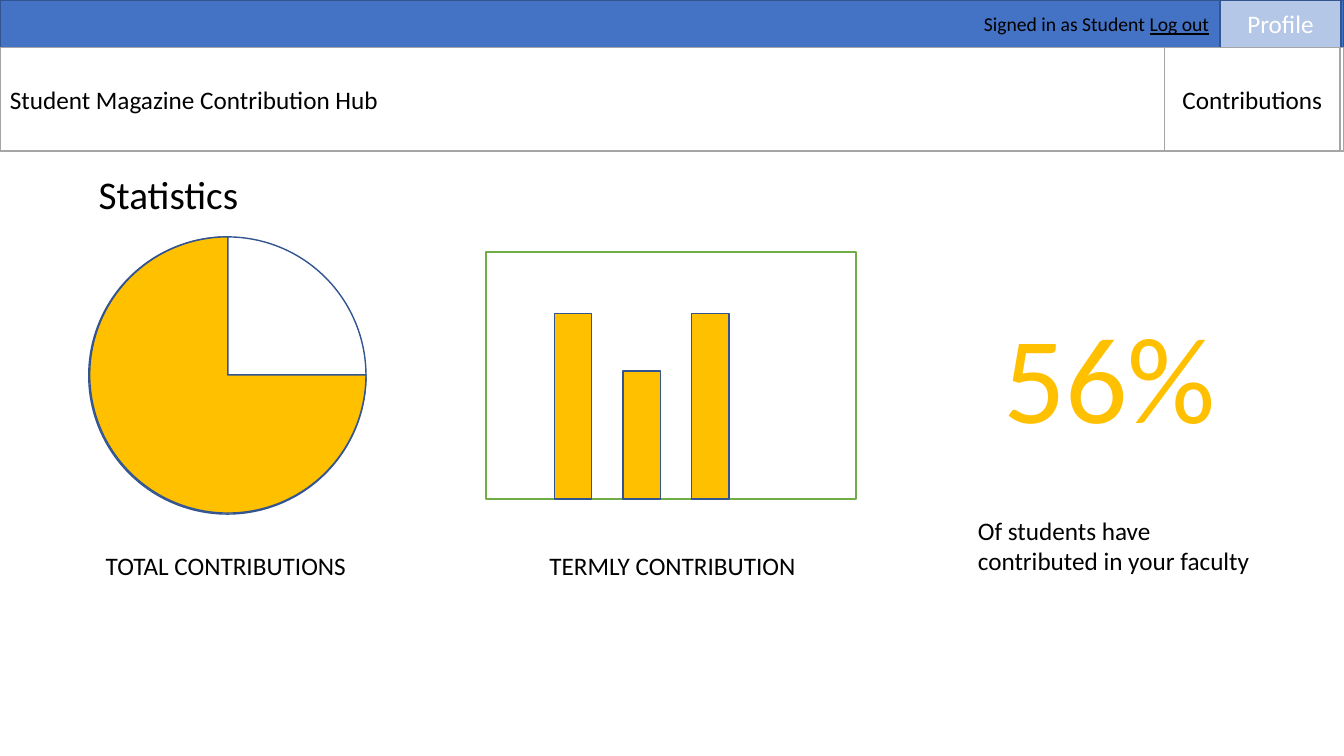
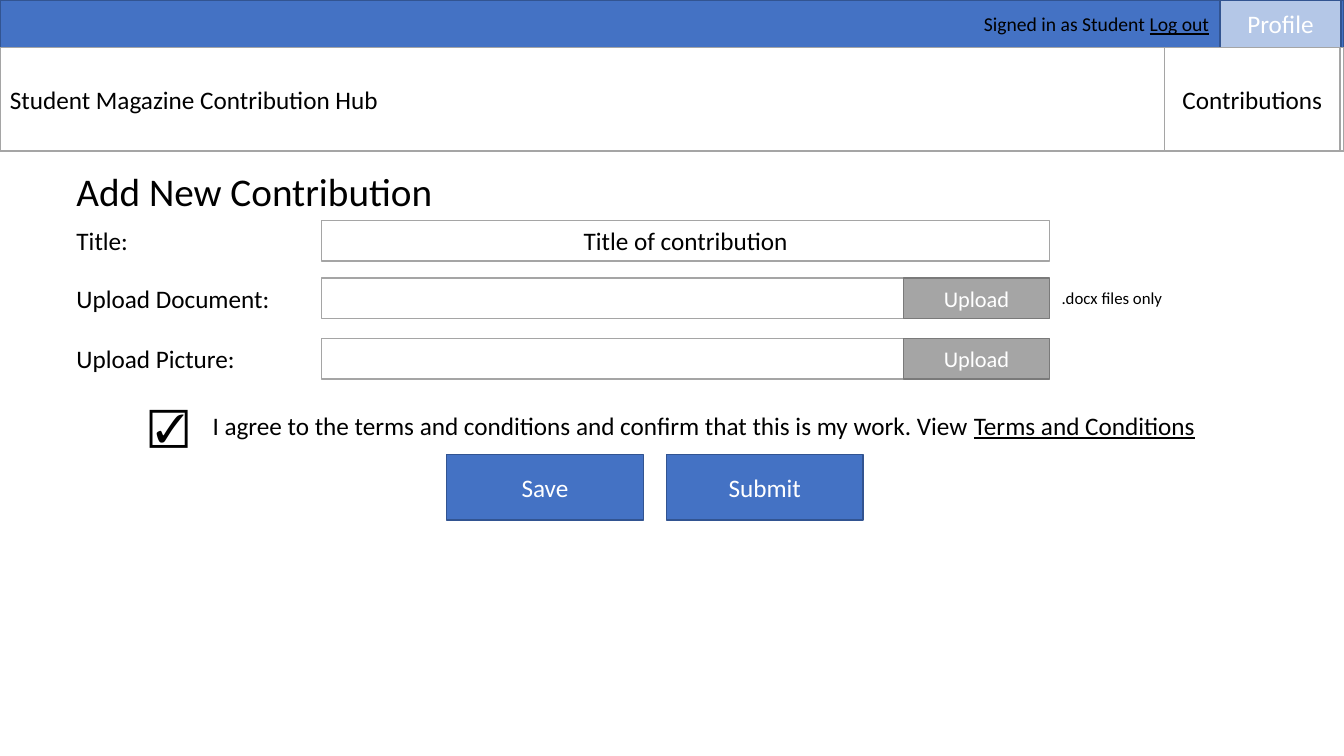
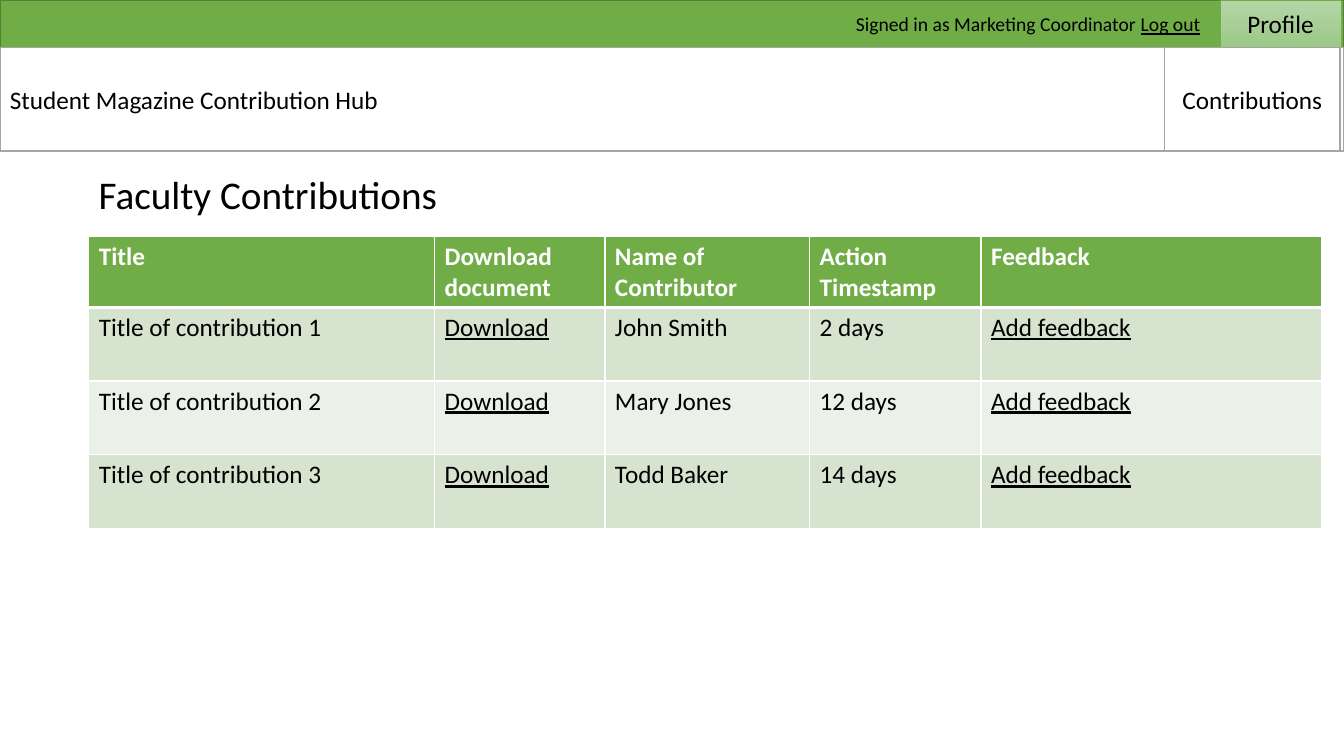
from dataclasses import dataclass
from typing import Any, Optional

from lxml import etree
from pptx import Presentation
from pptx import util as u
from pptx.dml import color
from pptx.enum import shapes, text
from pptx.oxml import ns

HEX = {
    "white": "FFFFFF", "black": "000000", "blue": "4472C4", "navy": "325491",
    "sky": "B4C7E7", "gray": "A5A5A5", "slate": "7A7A7A", "gold": "FFC000",
    "green": "70AD47", "moss": "538035", "mint": "B5D5A7", "leaf": "9CC987",
    "sage": "D5E3CF", "pale": "EBF1E9",
}
FACE = "Calibri"
LEFT, MID = text.PP_ALIGN.LEFT, text.PP_ALIGN.CENTER
RECT = shapes.MSO_SHAPE.RECTANGLE
OVAL = shapes.MSO_SHAPE.OVAL
PIE = shapes.MSO_SHAPE.PIE


@dataclass
class Label:
    at: tuple[float, float, float, float]
    words: str
    size: int = 18
    ink: str = "black"
    link: str = ""
    wrap: bool = False


@dataclass
class Box:
    at: tuple[float, float, float, float]
    words: str = ""
    fill: str = "white"
    edge: str = "gray"
    ink: str = "black"
    size: int = 18
    align: Any = MID
    form: Any = RECT
    fade: Optional[str] = None
    width: float = 1


@dataclass
class Theme:
    band: str
    rim: str
    tab: Box
    user: Label


def put(obj: Any, vals: dict[str, Any]) -> None:
    for key, val in vals.items():
        setattr(obj, key, val)


def rgb(name: str) -> color.RGBColor:
    return color.RGBColor.from_string(HEX[name])


def write(para: Any, words: str, size: int, ink: str,
          bold: bool = False, under: bool = False) -> None:
    run = para.add_run()
    run.text = words
    put(run.font, {"name": FACE, "size": u.Pt(size), "bold": bold, "underline": under})
    run.font.color.rgb = rgb(ink)


def draw_label(slide: Any, item: Label) -> None:
    frame = slide.shapes.add_textbox(*map(u.Inches, item.at)).text_frame
    put(frame, {"word_wrap": item.wrap, "auto_size": text.MSO_AUTO_SIZE.SHAPE_TO_FIT_TEXT})
    para = frame.paragraphs[0]
    write(para, item.words, item.size, item.ink)
    if item.link:
        write(para, item.link, item.size, item.ink, under=True)


def draw_box(slide: Any, item: Box) -> None:
    shape = slide.shapes.add_shape(item.form, *map(u.Inches, item.at))
    shape.shadow.inherit = False
    if item.fade:
        shape.fill.gradient()
        shape.fill.gradient_angle = 270
        for stop, name in zip(shape.fill.gradient_stops, (item.fill, item.fade)):
            stop.color.rgb = rgb(name)
    else:
        shape.fill.solid()
        shape.fill.fore_color.rgb = rgb(item.fill)
    shape.line.color.rgb = rgb(item.edge)
    shape.line.width = u.Pt(item.width)
    if item.words:
        put(shape.text_frame, {"word_wrap": True, "vertical_anchor": text.MSO_ANCHOR.MIDDLE})
        para = shape.text_frame.paragraphs[0]
        para.alignment = item.align
        write(para, item.words, item.size, item.ink)


def draw(slide: Any, items: list[Any]) -> None:
    for item in items:
        if isinstance(item, Label):
            draw_label(slide, item)
        else:
            draw_box(slide, item)


def start(deck: Any, theme: Theme, head: Label) -> Any:
    slide = deck.slides.add_slide(deck.slide_layouts[6])
    draw(slide, [
        Box((0, 0, 13.33, 0.47), fill=theme.band, edge=theme.rim),
        theme.tab,
        Box((0, 0.47, 13.33, 1.03), "Student Magazine Contribution Hub", align=LEFT),
        Box((11.55, 0.47, 1.74, 1.03), "Contributions"),
        theme.user,
        head,
    ])
    return slide


def edge_cell(cell: Any, base: float) -> None:
    props = cell._tc.get_or_add_tcPr()
    for side, width in (("L", 1), ("R", 1), ("T", 1), ("B", base)):
        line = etree.SubElement(props, ns.qn(f"a:ln{side}"), w=str(u.Pt(width)))
        solid = etree.SubElement(line, ns.qn("a:solidFill"))
        etree.SubElement(solid, ns.qn("a:srgbClr"), val=HEX["white"])


def draw_grid(slide: Any, spot: tuple[float, float], cols: list[float],
              rows: list[float], data: list[tuple[str, ...]], links: set[str]) -> None:
    frame = slide.shapes.add_table(len(rows), len(cols),
                                   *map(u.Inches, (*spot, sum(cols), sum(rows))))
    grid = frame.table
    put(grid, {"first_row": False, "horz_banding": False})
    for col, width in zip(grid.columns, cols):
        col.width = u.Inches(width)
    for r, (row, high) in enumerate(zip(grid.rows, rows)):
        row.height = u.Inches(high)
        top = r == 0
        fill = "green" if top else ("pale", "sage")[r % 2]
        for cell, words in zip(row.cells, data[r]):
            edge_cell(cell, 3 if top else 1)
            cell.fill.solid()
            cell.fill.fore_color.rgb = rgb(fill)
            write(cell.text_frame.paragraphs[0], words, 18,
                  "white" if top else "black", top, words in links)


TAB = (12.1, 0, 1.2, 0.47)
PUPIL = Theme(
    "blue", "navy",
    Box(TAB, "Profile", "sky", "navy", "white"),
    Label((9.66, 0.07, 2.46, 0.34), "Signed in as Student ", 14, link="Log out"),
)
STAFF = Theme(
    "green", "moss",
    Box(TAB, "Profile", "mint", "green", fade="leaf", width=0.5),
    Label((8.39, 0.07, 3.65, 0.34), "Signed in as Marketing Coordinator ", 14, link="Log out"),
)


def add_stats(deck: Any) -> None:
    slide = start(deck, PUPIL, Label((0.88, 1.64, 1.61, 0.57), "Statistics", 28))
    base = 4.95
    bars = [Box((5.5 + 0.68 * i, base - high, 0.37, high), fill="gold", edge="navy")
            for i, high in enumerate((1.84, 1.27, 1.84))]
    draw(slide, [
        Box((0.88, 2.35, 2.75, 2.75), edge="navy", form=OVAL),
        Box((0.89, 2.35, 2.74, 2.74), fill="gold", edge="navy", form=PIE),
        Box((4.82, 2.5, 3.67, 2.45), edge="green"),
        *bars,
        Label((0.95, 5.41, 2.61, 0.4), "TOTAL CONTRIBUTIONS"),
        Label((5.35, 5.41, 2.67, 0.4), "TERMLY CONTRIBUTION"),
        Label((9.85, 2.93, 2.59, 1.58), "56%", 88, "gold", wrap=True),
        Label((9.6, 5.06, 3.11, 0.71), "Of students have contributed in your faculty", wrap=True),
    ])


def add_form(deck: Any) -> None:
    slide = start(deck, PUPIL, Label((0.66, 1.61, 3.77, 0.57), "Add New Contribution", 28))
    draw(slide, [
        Label((0.66, 2.19, 0.72, 0.4), "Title:"),
        Box((3.19, 2.19, 7.22, 0.4), "Title of contribution"),
        Label((10.43, 2.81, 1.21, 0.3), ".docx files only", 12),
    ])
    for y, width, words in ((2.76, 2.14, "Upload Document:"), (3.36, 1.79, "Upload Picture:")):
        draw(slide, [
            Label((0.66, y, width, 0.4), words),
            Box((3.19, y, 5.77, 0.4)),
            Box((8.96, y, 1.45, 0.4), "Upload", "gray", "slate", "white", 16),
        ])
    draw(slide, [
        Label((1.38, 3.93, 0.73, 0.57), "☑", 28, wrap=True),
        Label((2.01, 4.02, 10.06, 0.4),
              "I agree to the terms and conditions and confirm that this is my work. View ",
              link="Terms and Conditions"),
        *(Box((x, 4.51, 1.95, 0.65), words, "blue", "navy", "white")
          for x, words in ((4.43, "Save"), (6.61, "Submit"))),
    ])


def add_list(deck: Any) -> None:
    slide = start(deck, STAFF, Label((0.88, 1.64, 3.6, 0.57), "Faculty Contributions", 28))
    load, reply = "Download", "Add feedback"
    works = [("John Smith", "2 days"), ("Mary Jones", "12 days"), ("Todd Baker", "14 days")]
    data = [("Title", "Download document", "Name of Contributor", "Action Timestamp", "Feedback")]
    data += [(f"Title of contribution {i}", load, name, age, reply)
             for i, (name, age) in enumerate(works, 1)]
    draw_grid(slide, (0.88, 2.35), [3.43, 1.69, 2.03, 1.7, 3.38],
              [0.7] + [0.73] * len(works), data, {load, reply})


def main() -> None:
    deck = Presentation()
    put(deck, {"slide_width": u.Inches(13.33), "slide_height": u.Inches(7.5)})
    for add in (add_stats, add_form, add_list):
        add(deck)
    deck.save("out.pptx")


main()
